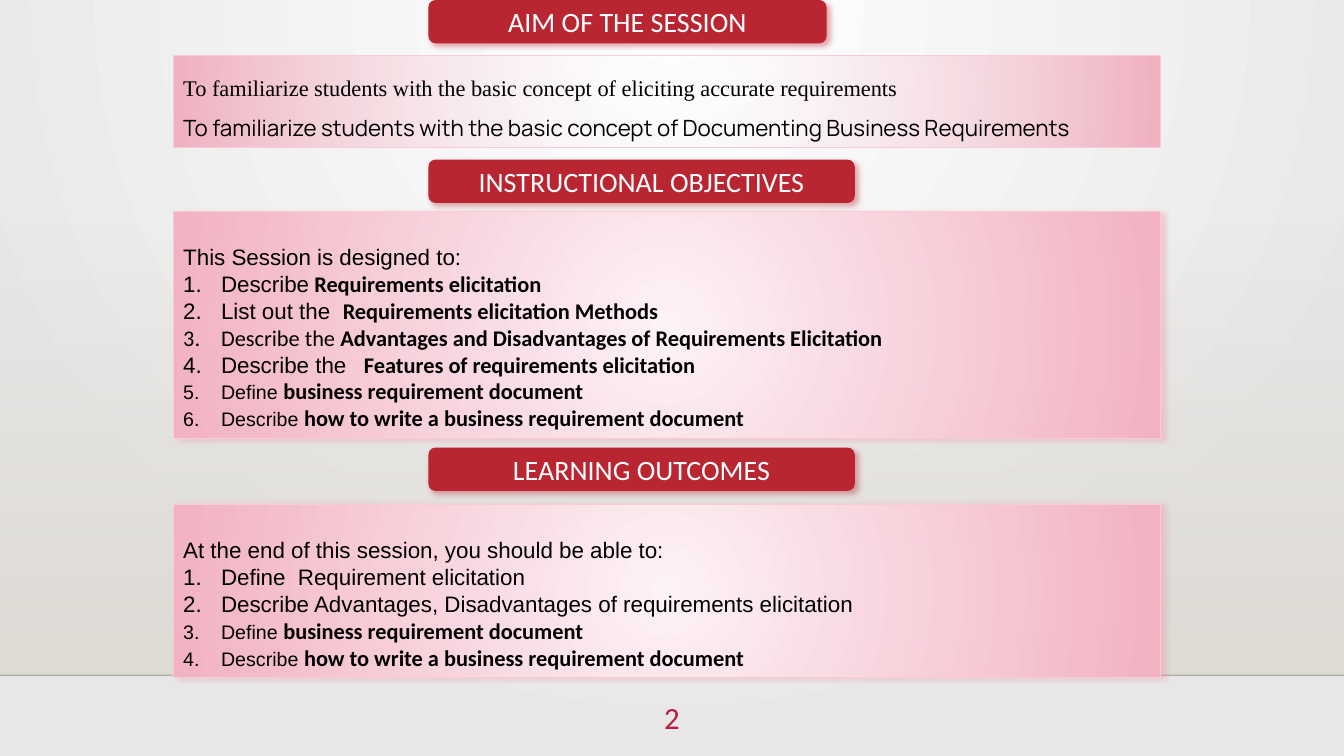
"""Build the slide with the aim, objectives and outcomes of a session."""
from lxml import etree
from pptx import Presentation
from pptx.dml.color import RGBColor
from pptx.enum.shapes import MSO_CONNECTOR, MSO_SHAPE
from pptx.enum.text import MSO_ANCHOR, MSO_AUTO_SIZE, PP_ALIGN
from pptx.oxml.ns import qn
from pptx.util import Pt

RECT, ROUND = MSO_SHAPE.RECTANGLE, MSO_SHAPE.ROUNDED_RECTANGLE
STRAIGHT = MSO_CONNECTOR.STRAIGHT
TOP, MIDDLE = MSO_ANCHOR.TOP, MSO_ANCHOR.MIDDLE
GROW = MSO_AUTO_SIZE.SHAPE_TO_FIT_TEXT
CENTER, LEFT = PP_ALIGN.CENTER, PP_ALIGN.LEFT

WHITE = RGBColor(0xFF, 0xFF, 0xFF)
BLACK = RGBColor(0x00, 0x00, 0x00)
INK = RGBColor(0x00, 0x00, 0x01)
GREY = RGBColor(0xE7, 0xE7, 0xE7)
SAND = RGBColor(0xDF, 0xDB, 0xD5)
RED = RGBColor(0xBA, 0x25, 0x32)
CRIMSON = RGBColor(0xB7, 0x1E, 0x42)
BLUSH = RGBColor(0xFD, 0xF2, 0xF5)
PINK = RGBColor(0xF2, 0xB2, 0xC2)
EDGE = RGBColor(0xF7, 0xCC, 0xD6)
GLOW = RGBColor(0xEE, 0x99, 0xAD)

PLAIN = ("Arial", 16, False)
SMALL = ("Arial", 14, False)
LIGHT = ("Calibri", 16, False)
BOLD = ("Calibri", 16, True)
SERIF = ("Times New Roman", 16, False)
MODERN = ("Manrope", 16, False)


def grade(fill, node, first, last, clear=False, focus=None):
    """Fill with two stops, round a focus or else downwards."""
    fill.gradient()
    grad = node.find(".//" + qn("a:gradFill"))
    for child in list(grad):
        grad.remove(child)
    stops = etree.SubElement(grad, qn("a:gsLst"))
    for pos, color in ((0, first), (100000, last)):
        stop = etree.SubElement(stops, qn("a:gs"), pos=str(pos))
        tint = etree.SubElement(stop, qn("a:srgbClr"), val=str(color))
        if clear and pos == 0:
            etree.SubElement(tint, qn("a:alpha"), val="0")
    if focus:
        path = etree.SubElement(grad, qn("a:path"), path="circle")
        sides = {side: str(part * 1000) for side, part in zip("ltrb", focus)}
        etree.SubElement(path, qn("a:fillToRect"), **sides)
    else:
        etree.SubElement(grad, qn("a:lin"), ang="5400000", scaled="0")


def shade(shape, color, angle):
    """Add a soft outer shadow."""
    effects = shape._element.spPr.find(qn("a:effectLst"))
    shadow = etree.SubElement(
        effects, qn("a:outerShdw"), blurRad=str(Pt(4)), dist=str(Pt(3)),
        dir=str(angle * 60000), algn="tl", rotWithShape="0")
    tint = etree.SubElement(shadow, qn("a:srgbClr"), val=str(color))
    etree.SubElement(tint, qn("a:alpha"), val="40000")


deck = Presentation()
deck.slide_width, deck.slide_height = Pt(960), Pt(540)
slide = deck.slides.add_slide(deck.slide_layouts[6])
shapes = slide.shapes
grade(slide.background.fill, slide._element, WHITE, GREY, focus=(43, 0, 43, 100))

band = shapes.add_shape(RECT, Pt(0), Pt(159), Pt(960), Pt(323.4))
band.shadow.inherit = False
band.line.fill.background()
grade(band.fill, band._element, SAND, SAND, clear=True)

floor = shapes.add_connector(STRAIGHT, Pt(0), Pt(482.4), Pt(960), Pt(482.4))
floor.line.color.rgb = INK
floor.line.width = Pt(1)
tint = floor._element.spPr.find(".//" + qn("a:srgbClr"))
etree.SubElement(tint, qn("a:alpha"), val="20000")
etree.SubElement(floor._element.spPr, qn("a:effectLst"))

page = shapes.add_textbox(Pt(448), Pt(495.4), Pt(64), Pt(39.6))
page.text_frame.word_wrap = True
para = page.text_frame.paragraphs[0]
para.alignment = CENTER
run = para.add_run()
run.text = "2"
run.font.name, run.font.size = "Calibri", Pt(22)
run.font.color.rgb = CRIMSON

closing = [
    [("Define ", SMALL), ("business requirement document", BOLD)],
    [("Describe ", SMALL), ("how to write a business requirement document", BOLD)],
]
aims = [
    [("To familiarize students with the basic concept of eliciting accurate requirements", SERIF)],
    [("To familiarize students with the basic concept of Documenting Business Requirements", MODERN)],
]
goals = [
    [("This Session is designed to:", PLAIN)],
    [("Describe", PLAIN), (" Requirements elicitation", BOLD)],
    [("List out the  ", PLAIN), ("Requirements elicitation Methods", BOLD)],
    [("Describe the ", LIGHT), ("Advantages and Disadvantages of Requirements Elicitation", BOLD)],
    [("Describe the  ", PLAIN), (" Features of requirements elicitation", BOLD)],
] + closing
results = [
    [("At the end of this session, you should be able to:", PLAIN)],
    [("Define  Requirement elicitation", PLAIN)],
    [("Describe Advantages, Disadvantages of requirements elicitation", PLAIN)],
] + closing

parts = [
    ("AIM OF THE SESSION", 0, 284.4, 39.6, 65.5, aims, False),
    ("INSTRUCTIONAL OBJECTIVES", 114, 304.6, 151, 162.5, goals, True),
    ("LEARNING OUTCOMES", 319.7, 304.6, 360.3, 123.8, results, True),
]
for title, top, width, start, height, rows, listed in parts:
    head = shapes.add_shape(ROUND, Pt(306), Pt(top), Pt(width), Pt(31))
    head.shadow.inherit = False
    head.fill.solid()
    head.fill.fore_color.rgb = RED
    head.line.fill.background()
    shade(head, RED, 45)
    head.text_frame.word_wrap = True
    head.text_frame.vertical_anchor = MIDDLE
    para = head.text_frame.paragraphs[0]
    para.alignment = CENTER
    run = para.add_run()
    run.text = title
    run.font.name, run.font.size = "Calibri", Pt(20)
    run.font.color.rgb = WHITE

    box = shapes.add_shape(RECT, Pt(123.8), Pt(start), Pt(704.9), Pt(height))
    box.shadow.inherit = False
    grade(box.fill, box._element, BLUSH, PINK, not listed, (50, 50, 50, 50))
    box.line.color.rgb = EDGE
    box.line.width = Pt(0.75)
    if listed:
        shade(box, GLOW, 0)
    frame = box.text_frame
    frame.word_wrap = True
    frame.auto_size = GROW
    frame.vertical_anchor = TOP
    for index, row in enumerate(rows):
        para = frame.paragraphs[0] if index == 0 else frame.add_paragraph()
        if listed and index:
            props = para._p.get_or_add_pPr()
            props.set("marL", str(Pt(27)))
            props.set("indent", str(-Pt(27)))
            etree.SubElement(props, qn("a:buAutoNum"), type="arabicPeriod")
        else:
            para.line_spacing = 2.0 if listed else 1.5
        para.alignment = LEFT
        for text, (face, size, bold) in row:
            run = para.add_run()
            run.text = text
            run.font.name, run.font.size, run.font.bold = face, Pt(size), bold
            run.font.color.rgb = BLACK

deck.save("out.pptx")
